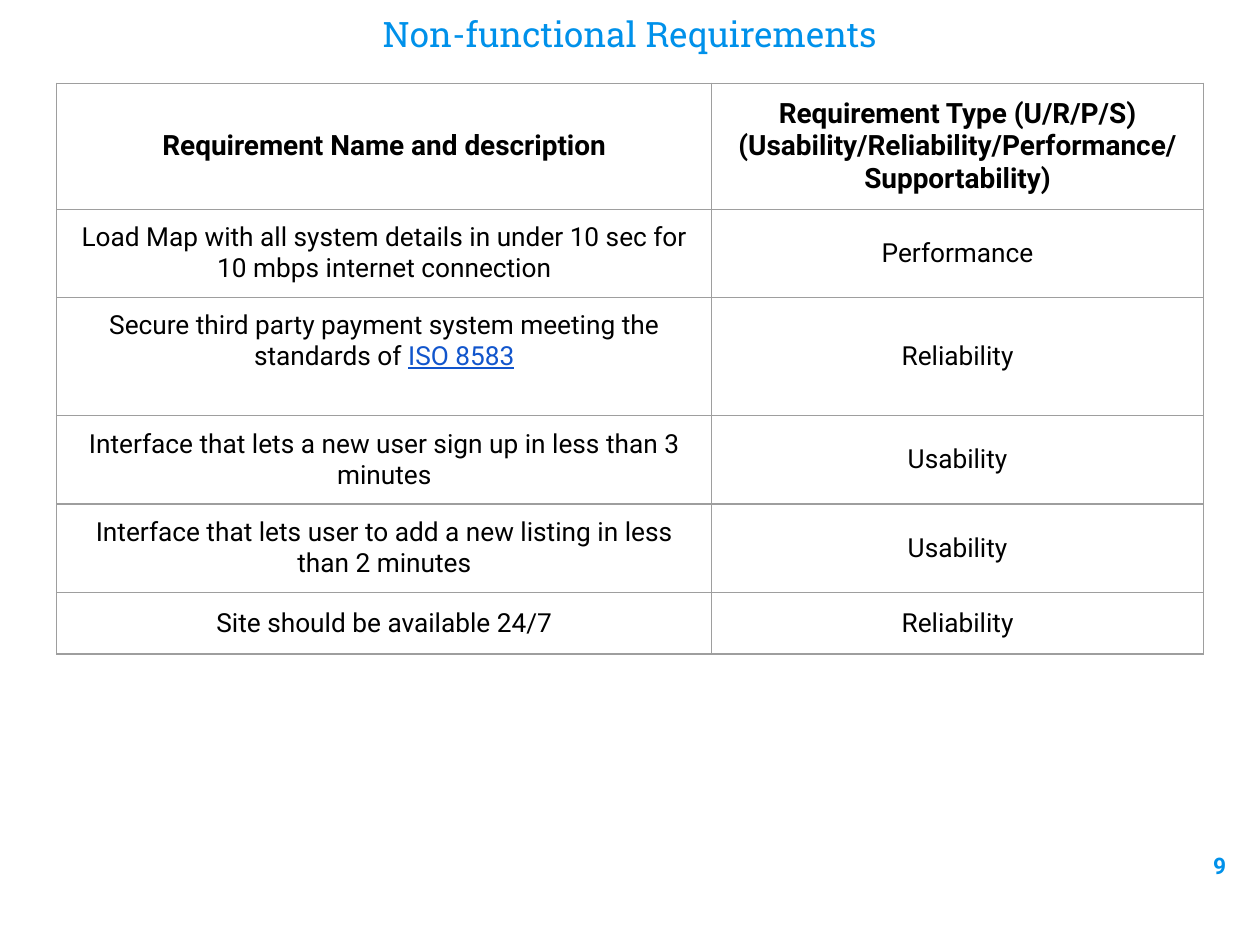
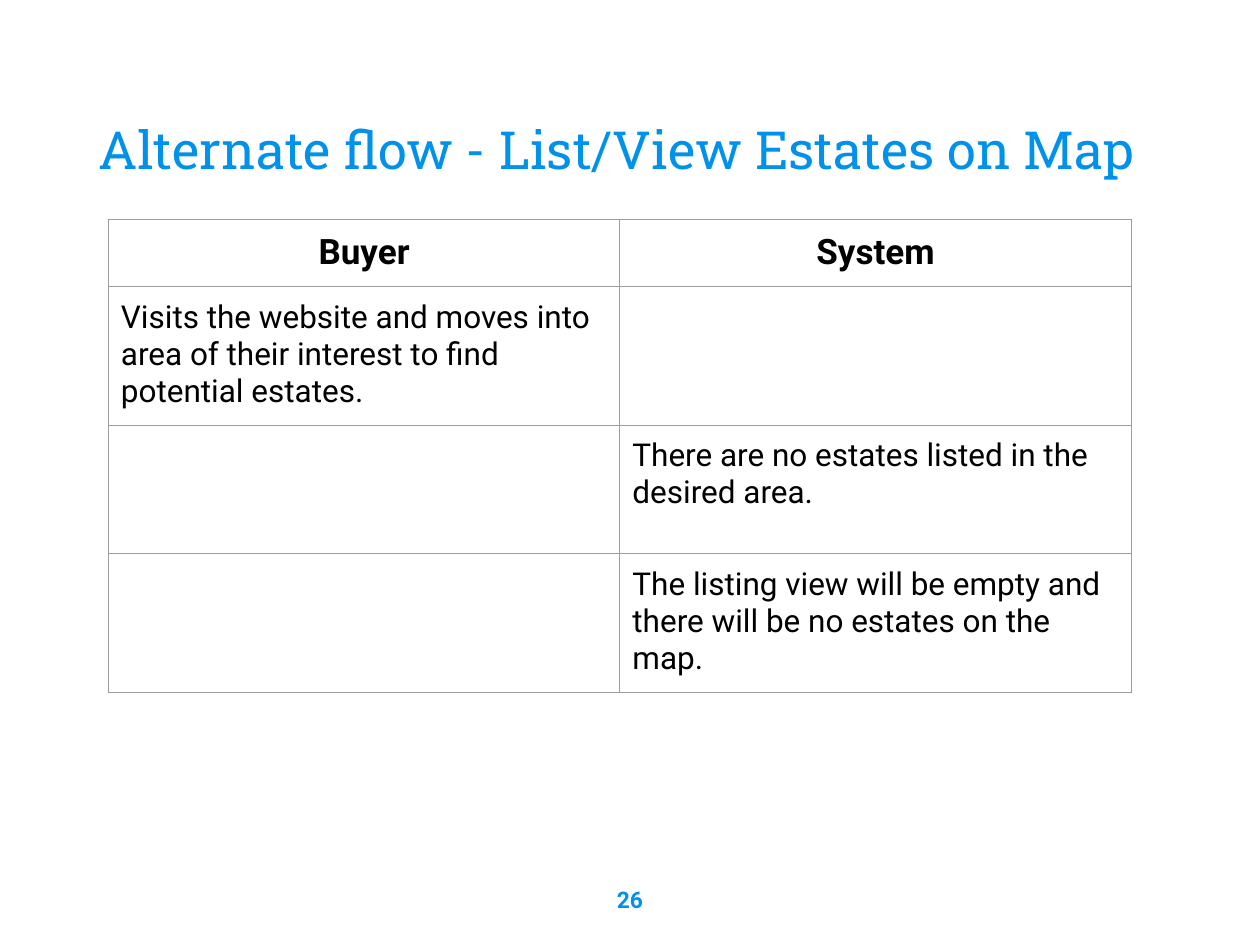
from lxml.etree import SubElement
from pptx import Presentation
from pptx.dml.color import RGBColor
from pptx.enum.text import MSO_ANCHOR, PP_ALIGN
from pptx.oxml.ns import qn
from pptx.util import Inches, Pt

COLORS = {"accent": "0091EA", "text": "000000", "link": "1155CC", "border": "9E9E9E"}
BODY_FONT = "Roboto"
TITLE_FONT = "Roboto Slab"
INSET = 0.1
BORDER_WIDTH = 0.75
LEFT, CENTER, RIGHT = PP_ALIGN.LEFT, PP_ALIGN.CENTER, PP_ALIGN.RIGHT
TOP, MIDDLE, BOTTOM = MSO_ANCHOR.TOP, MSO_ANCHOR.MIDDLE, MSO_ANCHOR.BOTTOM

SLIDES = [
    {
        "title": ("Non-functional Requirements", (0.9, 0.25, 8.2, 0.28),
                  {"size": 20, "align": CENTER}),
        "number": ("9", (9.23, 6.66, 0.6, 0.57), RIGHT),
        "table": {
            "corner": (0.45, 0.66),
            "columns": [5.2, 3.9],
            "heights": [0.98, 0.69, 0.94, 0.69, 0.69, 0.49],
            "header": {"size": 16, "anchor": MIDDLE},
            "body": {"size": 15, "align": CENTER, "anchor": MIDDLE},
            "rows": [
                ("Requirement Name and description",
                 "Requirement Type (U/R/P/S)\n(Usability/Reliability/Performance/\nSupportability)"),
                ("Load Map with all system details in under 10 sec for 10 mbps internet connection",
                 "Performance"),
                ("Secure third party payment system meeting the standards of ISO 8583", "Reliability"),
                ("Interface that lets a new user sign up in less than 3 minutes", "Usability"),
                ("Interface that lets user to add a new listing in less than 2 minutes", "Usability"),
                ("Site should be available 24/7", "Reliability"),
            ],
            "special": {(2, 0): {"link": "ISO 8583", "anchor": TOP}},
        },
    },
    {
        "title": ("Alternate flow - List/View Estates on Map", (0.68, 0.51, 8.64, 1.02),
                  {"size": 30}),
        "number": ("26", (0, 6.93, 10, 0.57), CENTER),
        "table": {
            "corner": (0.86, 1.74),
            "columns": [4.06, 4.06],
            "heights": [0.53, 1.08, 1.02, 1.08],
            "header": {"size": 20},
            "body": {"size": 18},
            "rows": [
                ("Buyer", "System"),
                ("Visits the website and moves into area of their interest to find potential estates.", ""),
                ("", "There are no estates listed in the desired area."),
                ("", "The listing view will be empty and there will be no estates on the map."),
            ],
            "special": {},
        },
    },
]


def write_text(frame, text, size=18, font=BODY_FONT, color="text", bold=False, align=LEFT, link=""):
    for index, line in enumerate(text.split("\n")):
        paragraph = frame.paragraphs[0] if index == 0 else frame.add_paragraph()
        paragraph.alignment = align
        paragraph.font.size = Pt(size)
        for part, is_link in ((line.removesuffix(link), False), (link, True)):
            if not part:
                continue
            run = paragraph.add_run()
            run.text = part
            run.font.size = Pt(size)
            run.font.name = font
            run.font.bold = bold
            run.font.underline = is_link
            run.font.color.rgb = RGBColor.from_string(COLORS["link" if is_link else color])


def set_insets(target):
    target.margin_left = target.margin_right = Inches(INSET)
    target.margin_top = target.margin_bottom = Inches(INSET)


def add_text_box(slide, text, box, anchor=TOP, **text_format):
    frame = slide.shapes.add_textbox(*map(Inches, box)).text_frame
    frame.word_wrap = True
    frame.vertical_anchor = anchor
    set_insets(frame)
    write_text(frame, text, **text_format)


def style_cell(cell, anchor):
    set_insets(cell)
    cell.vertical_anchor = anchor
    properties = cell._tc.get_or_add_tcPr()
    for side in ("lnL", "lnR", "lnT", "lnB"):
        line = SubElement(properties, qn(f"a:{side}"), w=str(Pt(BORDER_WIDTH)))
        fill = SubElement(line, qn("a:solidFill"))
        SubElement(fill, qn("a:srgbClr"), val=COLORS["border"])
    cell.fill.background()


def add_table(slide, content):
    columns, heights, rows = content["columns"], content["heights"], content["rows"]
    size = sum(columns), sum(heights)
    table = slide.shapes.add_table(len(rows), len(columns),
                                   *map(Inches, content["corner"] + size)).table
    table.first_row = table.horz_banding = False
    for column, width in zip(table.columns, columns):
        column.width = Inches(width)
    for row_index, (row, height) in enumerate(zip(table.rows, heights)):
        row.height = Inches(height)
        if row_index == 0:
            row_format = {"bold": True, "align": CENTER, **content["header"]}
        else:
            row_format = content["body"]
        for column_index, text in enumerate(rows[row_index]):
            cell = table.cell(row_index, column_index)
            special = content["special"].get((row_index, column_index), {})
            cell_format = {"anchor": TOP, **row_format, **special}
            style_cell(cell, cell_format.pop("anchor"))
            write_text(cell.text_frame, text, **cell_format)


def main():
    presentation = Presentation()
    presentation.slide_width = Inches(10)
    presentation.slide_height = Inches(7.5)
    for content in SLIDES:
        slide = presentation.slides.add_slide(presentation.slide_layouts[6])
        title, title_box, title_format = content["title"]
        add_text_box(slide, title, title_box, anchor=BOTTOM, font=TITLE_FONT,
                     color="accent", **title_format)
        add_table(slide, content["table"])
        number, number_box, align = content["number"]
        add_text_box(slide, number, number_box, size=13, color="accent", bold=True, align=align)
    presentation.save("out.pptx")


if __name__ == "__main__":
    main()
